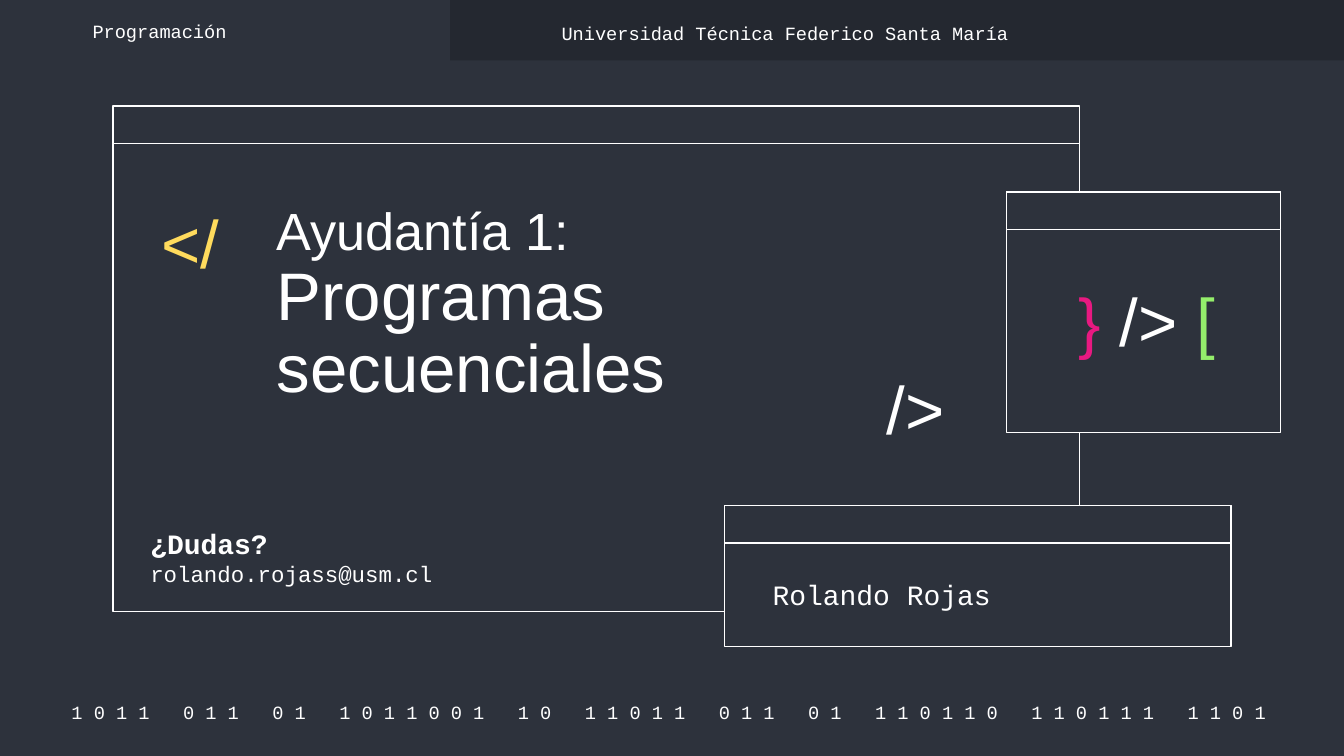
from pptx import Presentation
from pptx import util as u
from pptx.dml.color import RGBColor
from pptx.enum import shapes, text

BACKGROUND, BAND, WHITE = "2D323C", "242830", "FFFFFF"
YELLOW, PINK, GREEN = "FFDB5D", "E81981", "94EE6B"
SANS, MONO = "Arial", "Courier New"
TOP, MIDDLE = text.MSO_ANCHOR.TOP, text.MSO_ANCHOR.MIDDLE
LEFT, CENTER = text.PP_ALIGN.LEFT, text.PP_ALIGN.CENTER
BAR_HEIGHT = 0.28


def color(value):
    return RGBColor.from_string(value)


class SlideBuilder:
    def __init__(self, slide):
        self.slide = slide
        slide.background.fill.solid()
        slide.background.fill.fore_color.rgb = color(BACKGROUND)

    def rectangle(self, left, top, width, height, fill=BACKGROUND, line=WHITE):
        shape = self.slide.shapes.add_shape(
            shapes.MSO_SHAPE.RECTANGLE, *map(u.Inches, (left, top, width, height)))
        shape.shadow.inherit = False
        shape.fill.solid()
        shape.fill.fore_color.rgb = color(fill)
        if line:
            shape.line.color.rgb = color(line)
            shape.line.width = u.Pt(0.75)
        else:
            shape.line.fill.background()

    def window(self, left, top, width, height):
        """A framed panel with a title bar."""
        self.rectangle(left, top, width, height)
        self.rectangle(left, top, width, BAR_HEIGHT)

    def textbox(self, left, top, width, height, paragraphs, font=MONO,
                anchor=MIDDLE, align=LEFT, spacing=1.0):
        """Each paragraph lists runs of (words, size, colour, bold); None breaks the line."""
        box = self.slide.shapes.add_textbox(*map(u.Inches, (left, top, width, height)))
        frame = box.text_frame
        frame.word_wrap = True
        frame.vertical_anchor = anchor
        frame.margin_left = frame.margin_right = u.Inches(0.1)
        frame.margin_top = frame.margin_bottom = u.Inches(0.1)
        for index, runs in enumerate(paragraphs):
            paragraph = frame.add_paragraph() if index else frame.paragraphs[0]
            paragraph.alignment = align
            paragraph.line_spacing = spacing
            for item in runs:
                if item is None:
                    paragraph.add_line_break()
                    continue
                words, size, ink, bold = item
                run = paragraph.add_run()
                run.text = words
                run.font.name = font
                run.font.size = u.Pt(size)
                run.font.bold = bold
                run.font.color.rgb = color(ink)

    def label(self, left, top, width, height, words, size=10, ink=WHITE, **style):
        self.textbox(left, top, width, height, [[(words, size, ink, False)]], **style)


def main():
    presentation = Presentation()
    presentation.slide_width = u.Inches(10)
    presentation.slide_height = presentation.slide_width * 9 // 16
    builder = SlideBuilder(presentation.slides.add_slide(presentation.slide_layouts[6]))

    # Binary footer and header band
    groups = "1011 011 01 1011001 10 11011 011 01 110110 110111 1101".split()
    binary = "   ".join(" ".join(group) for group in groups) + " "
    builder.label(0.38, 5.2, 9.27, 0.2, binary, align=CENTER)
    builder.rectangle(3.35, 0, 6.65, 0.45, fill=BAND, line=None)

    # Overlapping windows
    for window in ((0.84, 0.79, 7.19, 3.76),
                   (5.39, 3.76, 3.77, 1.05),
                   (7.49, 1.43, 2.04, 1.79)):
        builder.window(*window)

    # Code symbols
    builder.label(1.1, 1.51, 0.77, 0.66, "</", 36, YELLOW, font=SANS, spacing=0.9)
    builder.label(6.5, 2.74, 0.77, 0.66, "/>", 36, font=SANS, spacing=0.9)
    symbols = [("}", 36, PINK, False), (" /> ", 36, WHITE, False), ("[", 36, GREEN, False)]
    builder.textbox(7.87, 2.05, 1.33, 0.82, [symbols], font=SANS,
                    anchor=TOP, align=CENTER, spacing=0.9)

    # Title and author
    title = [("Ayudantía 1:", 28, WHITE, False), None,
             ("Programas secuenciales", 36, WHITE, False)]
    builder.textbox(1.96, 1.43, 4.54, 1.83, [title], font=SANS, anchor=TOP, spacing=0.9)
    builder.label(5.65, 4.13, 3.33, 0.58, "Rolando Rojas", 15)

    # Header labels
    builder.label(0.59, 0.13, 2.19, 0.2, "Programación")
    builder.label(4.08, 0.13, 5.45, 0.23, "Universidad Técnica Federico Santa María")

    # Contact
    contact = [[("¿Dudas?", 15, WHITE, True)],
               [("rolando.rojass@usm.cl", 12, WHITE, False)]]
    builder.textbox(1.02, 3.82, 3.6, 0.66, contact, anchor=TOP)

    presentation.save("out.pptx")


if __name__ == "__main__":
    main()
